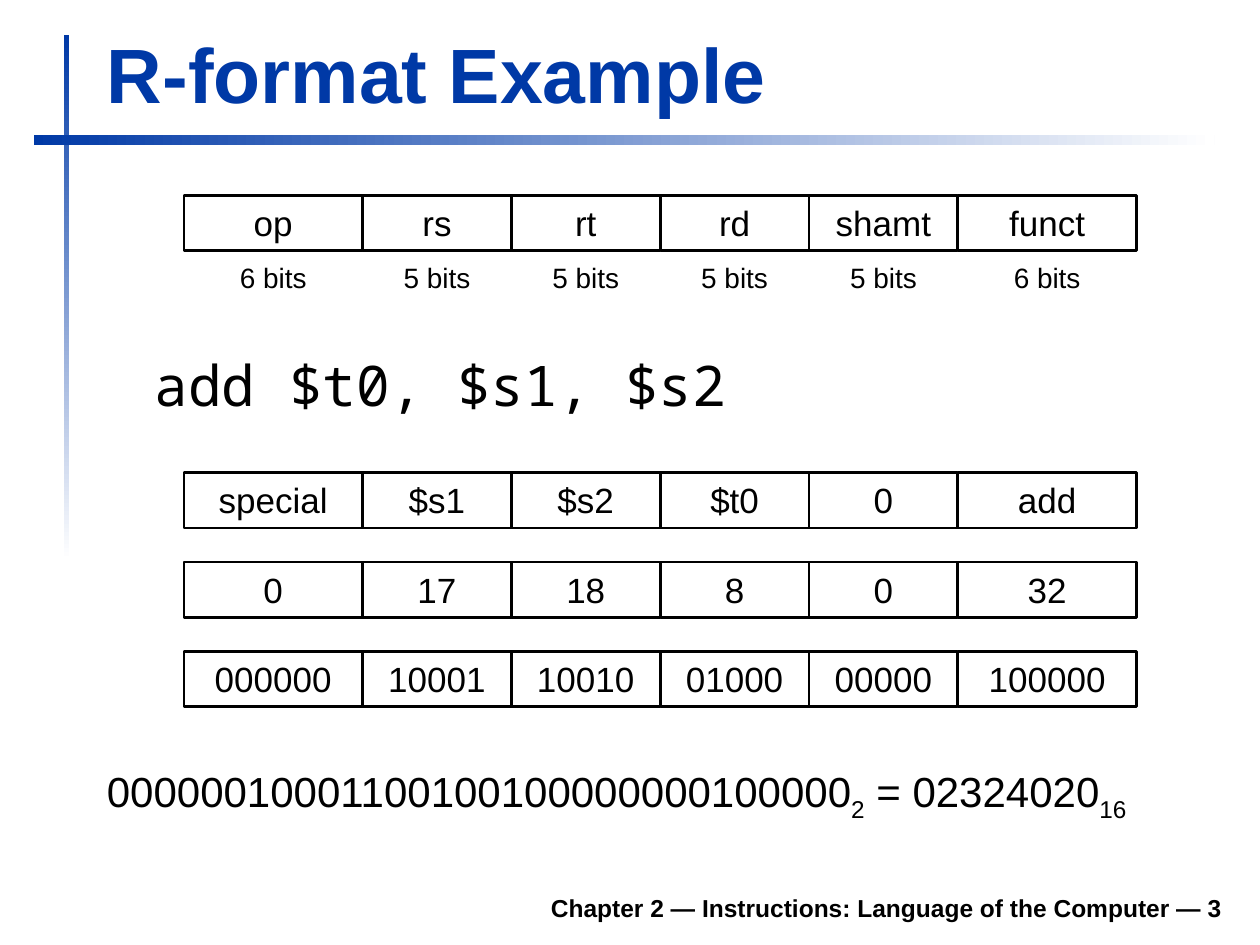
from itertools import accumulate

from pptx import Presentation
from pptx.dml.color import RGBColor
from pptx.enum.shapes import MSO_SHAPE
from pptx.enum.text import MSO_ANCHOR, PP_ALIGN
from pptx.util import Inches, Pt

RECTANGLE = MSO_SHAPE.RECTANGLE
TOP, BOTTOM = MSO_ANCHOR.TOP, MSO_ANCHOR.BOTTOM
LEFT, CENTER, RIGHT = PP_ALIGN.LEFT, PP_ALIGN.CENTER, PP_ALIGN.RIGHT

BLUE = RGBColor(0x00, 0x39, 0xA6)
BLACK = RGBColor(0x00, 0x00, 0x00)
WHITE = RGBColor(0xFF, 0xFF, 0xFF)

FIELD_BITS = [6, 5, 5, 5, 5, 6]
BIT_WIDTH = 7.56 / sum(FIELD_BITS)
FIELD_STARTS = list(accumulate(FIELD_BITS, initial=0))
GRID_LEFT = 1.46
CELL_HEIGHT = 0.44
FORMAT_TOP = 1.55
ENCODING_TOP = 3.75
ROW_PITCH = 0.71
LABEL_WIDTH = 0.73

FIELD_NAMES = ["op", "rs", "rt", "rd", "shamt", "funct"]
ENCODING_ROWS = [
    ["special", "$s1", "$s2", "$t0", "0", "add"],
    ["0", "17", "18", "8", "0", "32"],
    ["000000", "10001", "10010", "01000", "00000", "100000"],
]


def write(shape, text, size=20, font="Arial", color=BLACK, bold=False,
          align=LEFT, anchor=TOP, before=0, wrap=True, subscripts=()):
    frame = shape.text_frame
    frame.word_wrap = wrap
    frame.vertical_anchor = anchor
    para = frame.paragraphs[0]
    para.alignment = align
    para.space_before = Pt(before)
    spans = [text] if isinstance(text, str) else text
    for index, content in enumerate(spans):
        span = para.add_run()
        span.text = content
        span.font.size = Pt(size)
        span.font.name = font
        span.font.bold = bold
        span.font.color.rgb = color
        if index in subscripts:
            span.font._element.set("baseline", "-25000")


def add_text(page, text, left, top, width, height, **style):
    box = page.shapes.add_textbox(*map(Inches, (left, top, width, height)))
    write(box, text, **style)


def add_rectangle(page, left, top, width, height):
    box = page.shapes.add_shape(
        RECTANGLE, *map(Inches, (left, top, width, height)))
    box.shadow.inherit = False
    return box


def add_fading_bar(page, left, top, width, height, angle):
    bar = add_rectangle(page, left, top, width, height)
    bar.line.fill.background()
    bar.fill.gradient()
    bar.fill.gradient_angle = angle
    for stop, color in zip(bar.fill.gradient_stops, (BLUE, WHITE)):
        stop.color.rgb = color


def add_field_row(page, values, top):
    for value, start, bits in zip(values, FIELD_STARTS, FIELD_BITS):
        cell = add_rectangle(page, GRID_LEFT + start * BIT_WIDTH, top,
                             bits * BIT_WIDTH, CELL_HEIGHT)
        cell.fill.background()
        cell.line.color.rgb = BLACK
        cell.line.width = Pt(1.5)
        write(cell, value, align=CENTER)


def add_bit_labels(page, top):
    for start, bits in zip(FIELD_STARTS, FIELD_BITS):
        center = GRID_LEFT + (start + bits / 2) * BIT_WIDTH
        add_text(page, f"{bits} bits", center - LABEL_WIDTH / 2, top,
                 LABEL_WIDTH, 0.37, size=16, align=CENTER, wrap=False)


def main():
    deck = Presentation()
    deck.slide_width, deck.slide_height = Inches(10), Inches(7.5)
    page = deck.slides.add_slide(deck.slide_layouts[6])

    add_fading_bar(page, 0.51, 0.28, 0.04, 4.17, angle=270)
    add_fading_bar(page, 0.27, 1.07, 9.37, 0.08, angle=0)
    add_text(page, "Chapter 2 — Instructions: Language of the Computer — 3",
             1.85, 6.98, 7.95, 0.39, size=14, bold=True, align=RIGHT,
             anchor=BOTTOM)
    add_text(page, "R-format Example", 0.75, 0.16, 9.03, 0.83, size=44,
             color=BLUE, bold=True, anchor=BOTTOM)

    add_field_row(page, FIELD_NAMES, FORMAT_TOP)
    add_bit_labels(page, 2.02)
    add_text(page, "add $t0, $s1, $s2", 1.13, 2.73, 8.66, 0.71, size=32,
             font="Noto Sans Mono", before=8)
    for index, values in enumerate(ENCODING_ROWS):
        add_field_row(page, values, ENCODING_TOP + index * ROW_PITCH)
    add_text(page,
             ["00000010001100100100000000100000", "2", " = 02324020", "16"],
             0.75, 6.03, 8.9, 0.55, size=24, before=6, subscripts=(1, 3))

    deck.save("out.pptx")


if __name__ == "__main__":
    main()
